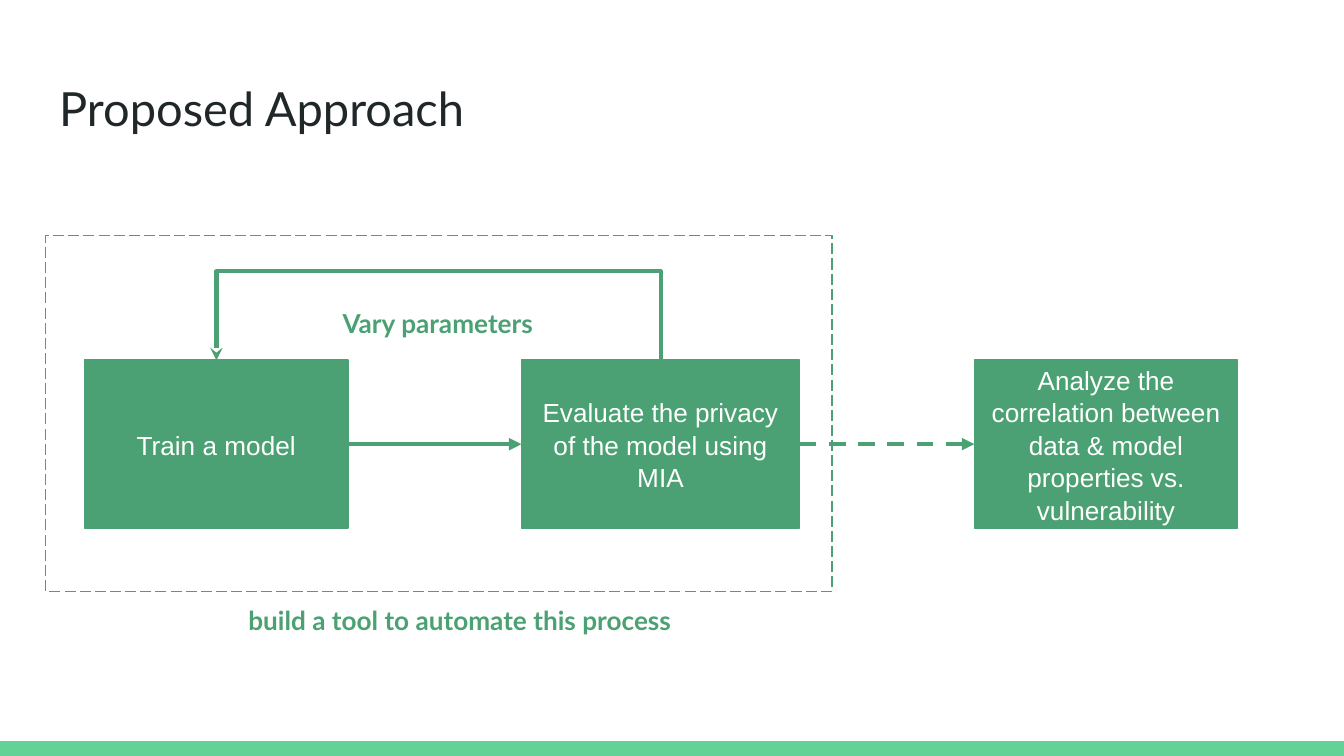
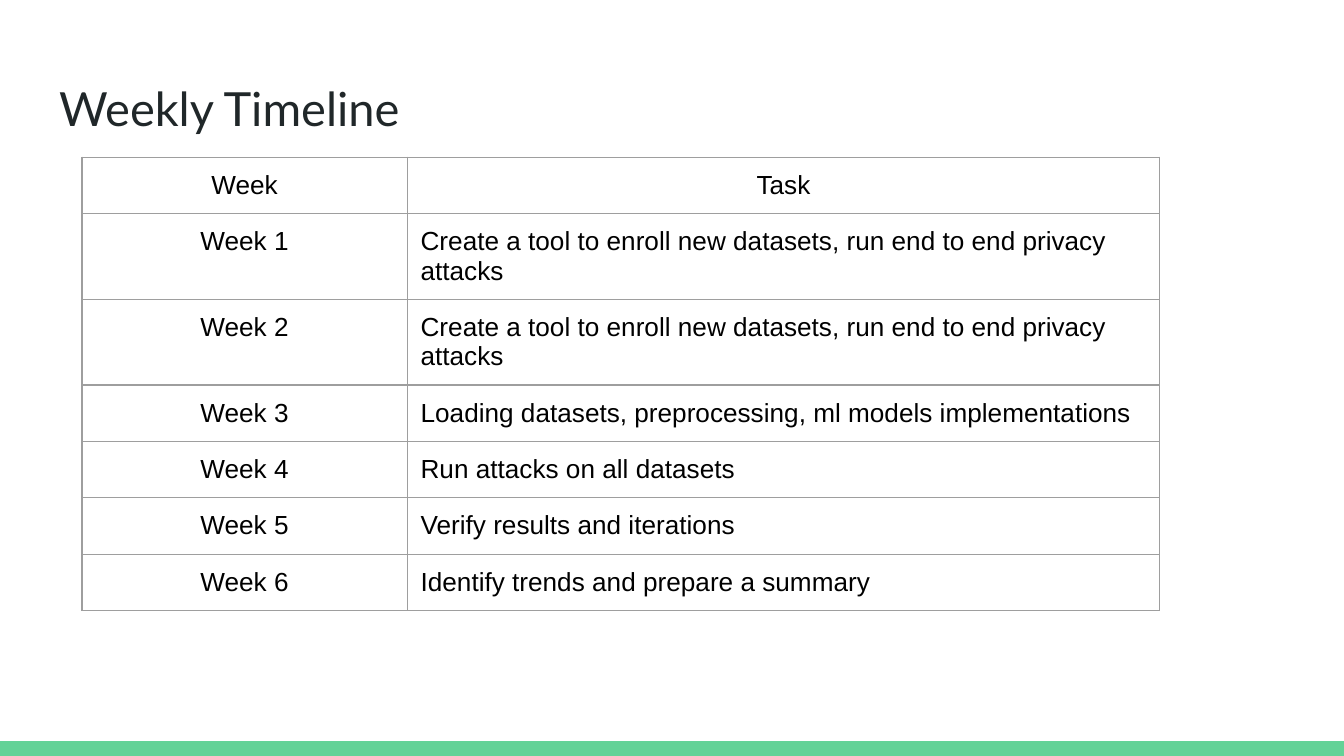
from dataclasses import dataclass

from lxml import etree
from pptx import Presentation
from pptx.dml.color import RGBColor
from pptx.enum.dml import MSO_LINE
from pptx.enum.shapes import MSO_CONNECTOR, MSO_SHAPE
from pptx.enum.text import MSO_ANCHOR, MSO_AUTO_SIZE, PP_ALIGN
from pptx.oxml.ns import qn
from pptx.util import Emu, Inches, Pt

RECTANGLE = MSO_SHAPE.RECTANGLE
STRAIGHT, ELBOW = MSO_CONNECTOR.STRAIGHT, MSO_CONNECTOR.ELBOW
SOLID, DASH, LONG_DASH = MSO_LINE.SOLID, MSO_LINE.DASH, MSO_LINE.LONG_DASH
TOP, MIDDLE = MSO_ANCHOR.TOP, MSO_ANCHOR.MIDDLE
LEFT, CENTER = PP_ALIGN.LEFT, PP_ALIGN.CENTER


@dataclass(frozen=True)
class Theme:
    ink: RGBColor = RGBColor(0x20, 0x27, 0x29)
    band: RGBColor = RGBColor(0x63, 0xD2, 0x97)
    green: RGBColor = RGBColor(0x4B, 0xA1, 0x73)
    white: RGBColor = RGBColor(0xFF, 0xFF, 0xFF)
    black: RGBColor = RGBColor(0, 0, 0)
    rule: str = "9E9E9E"
    heading_font: str = "Lato"
    body_font: str = "Arial"
    title_size: float = 25.2
    body_size: float = 14
    thin: float = 0.75
    thick: float = 2.25
    inset: float = 0.1


THEME = Theme()
COLUMNS, ROWS = 100, 56.25
CELL = Inches(0.1)


def grid(*cells):
    return [Emu(round(cell * CELL)) for cell in cells]


def write(frame, text, font, size, color, bold=False, align=LEFT, anchor=TOP):
    frame.word_wrap = True
    frame.vertical_anchor = anchor
    frame.margin_left = frame.margin_right = Inches(THEME.inset)
    frame.margin_top = frame.margin_bottom = Inches(THEME.inset)
    paragraph = frame.paragraphs[0]
    paragraph.alignment = align
    run = paragraph.add_run()
    run.text = text
    run.font.name = font
    run.font.size = Pt(size)
    run.font.bold = bold
    run.font.color.rgb = color


prs = Presentation()
prs.slide_width, prs.slide_height = grid(COLUMNS, ROWS)
title_only = prs.slide_layouts[5]

slides = []
for heading in ["Proposed Approach", "Weekly Timeline"]:
    slide = prs.slides.add_slide(title_only)
    title = slide.shapes.title
    title.left, title.top, title.width, title.height = grid(3.4, 4.9, 93.2, 6.3)
    title.text_frame.auto_size = MSO_AUTO_SIZE.NONE
    write(title.text_frame, heading, THEME.heading_font, THEME.title_size, THEME.ink)
    slides.append(slide)
approach, timeline = slides

band = approach.shapes.add_shape(RECTANGLE, *grid(0, ROWS - 1.1, COLUMNS, 1.1))
band.shadow.inherit = False
band.fill.solid()
band.fill.fore_color.rgb = THEME.band
band.line.fill.background()
prs.slide_master.shapes[0].element.getparent().append(band.element)

stage_top, stage_height = 26.8, 12.5
stages = [
    (6.3, 19.6, "Train a model"),
    (38.8, 20.7, "Evaluate the privacy of the model using MIA"),
    (72.5, 19.6, "Analyze the correlation between data & model properties vs. vulnerability"),
]
for left, width, text in stages:
    stage = approach.shapes.add_shape(RECTANGLE, *grid(left, stage_top, width, stage_height))
    stage.shadow.inherit = False
    stage.fill.solid()
    stage.fill.fore_color.rgb = THEME.green
    stage.line.color.rgb = THEME.green
    stage.line.width = Pt(THEME.thin)
    write(stage.text_frame, text, THEME.body_font, THEME.body_size, THEME.white,
          align=CENTER, anchor=MIDDLE)
    stage.text_frame.paragraphs[0].line_spacing = 1.04

train, evaluate, analyze = [(left, left + width / 2, left + width) for left, width, _ in stages]
flow_row = stage_top + stage_height / 2
loop_column = (train[1] + evaluate[1]) / 2
loop_reach = (evaluate[1] - train[1]) / 2
flows = [
    (STRAIGHT, (train[2], flow_row, evaluate[0], flow_row), SOLID, "triangle"),
    (STRAIGHT, (evaluate[2], flow_row, analyze[0], flow_row), DASH, "triangle"),
    (ELBOW, (loop_column, stage_top - loop_reach, loop_column, stage_top + loop_reach),
     SOLID, "stealth"),
]
for kind, ends, dash, head in flows:
    flow = approach.shapes.add_connector(kind, *grid(*ends))
    flow.line.color.rgb = THEME.green
    flow.line.width = Pt(THEME.thick)
    flow.line.dash_style = dash
    properties = flow.element.spPr
    etree.SubElement(properties.find(qn("a:ln")), qn("a:tailEnd"), type=head)
    etree.SubElement(properties, qn("a:effectLst"))
    if kind == ELBOW:
        flow.width = Emu(600)
        properties.find(qn("a:xfrm")).set("rot", str(90 * 60000))
        rise = round(-5.5 * CELL / flow.width * 100000)
        adjustments = properties.find(qn("a:prstGeom")).get_or_add_avLst()
        etree.SubElement(adjustments, qn("a:gd"), name="adj1", fmla=f"val {rise}")

scope = approach.shapes.add_shape(RECTANGLE, *grid(3.4, 17.5, 58.5, 26.5))
scope.shadow.inherit = False
scope.fill.background()
scope.line.color.rgb = THEME.green
scope.line.width = Pt(THEME.thin)
scope.line.dash_style = LONG_DASH

for area, text in [
    ((24.5, 21.9, 17.2, 4.4), "Vary parameters"),
    ((17.5, 44, 35.7, 4.4), "build a tool to automate this process"),
]:
    caption = approach.shapes.add_textbox(*grid(*area))
    write(caption.text_frame, text, THEME.heading_font, THEME.body_size, THEME.green, bold=True)

tasks = [
    "Create a tool to enroll new datasets, run end to end privacy attacks",
    "Create a tool to enroll new datasets, run end to end privacy attacks",
    "Loading datasets, preprocessing, ml models implementations",
    "Run attacks on all datasets",
    "Verify results and iterations",
    "Identify trends and prepare a summary",
]
schedule = [("Week", "Task")] + [(f"Week {week}", task) for week, task in enumerate(tasks, 1)]
column_widths, row_height = (24.2, 56), 4.2
weeks = timeline.shapes.add_table(
    len(schedule), len(column_widths),
    *grid(6.1, 11.7, sum(column_widths), row_height * len(schedule))).table
weeks.first_row = weeks.horz_banding = False
for column, width in zip(weeks.columns, grid(*column_widths)):
    column.width = width
for row_index, entries in enumerate(schedule):
    weeks.rows[row_index].height = grid(row_height)[0]
    for column_index, text in enumerate(entries):
        cell = weeks.cell(row_index, column_index)
        cell.margin_left = cell.margin_right = Inches(THEME.inset)
        cell.margin_top = cell.margin_bottom = Inches(THEME.inset)
        align = LEFT if row_index and column_index else CENTER
        write(cell.text_frame, text, THEME.body_font, THEME.body_size, THEME.black, align=align)
        cell_properties = cell._tc.get_or_add_tcPr()
        for side in ("a:lnL", "a:lnR", "a:lnT", "a:lnB"):
            border = etree.SubElement(cell_properties, qn(side), w=str(Pt(THEME.thin)))
            paint = etree.SubElement(border, qn("a:solidFill"))
            etree.SubElement(paint, qn("a:srgbClr"), val=THEME.rule)
        cell.fill.background()

prs.save("out.pptx")
